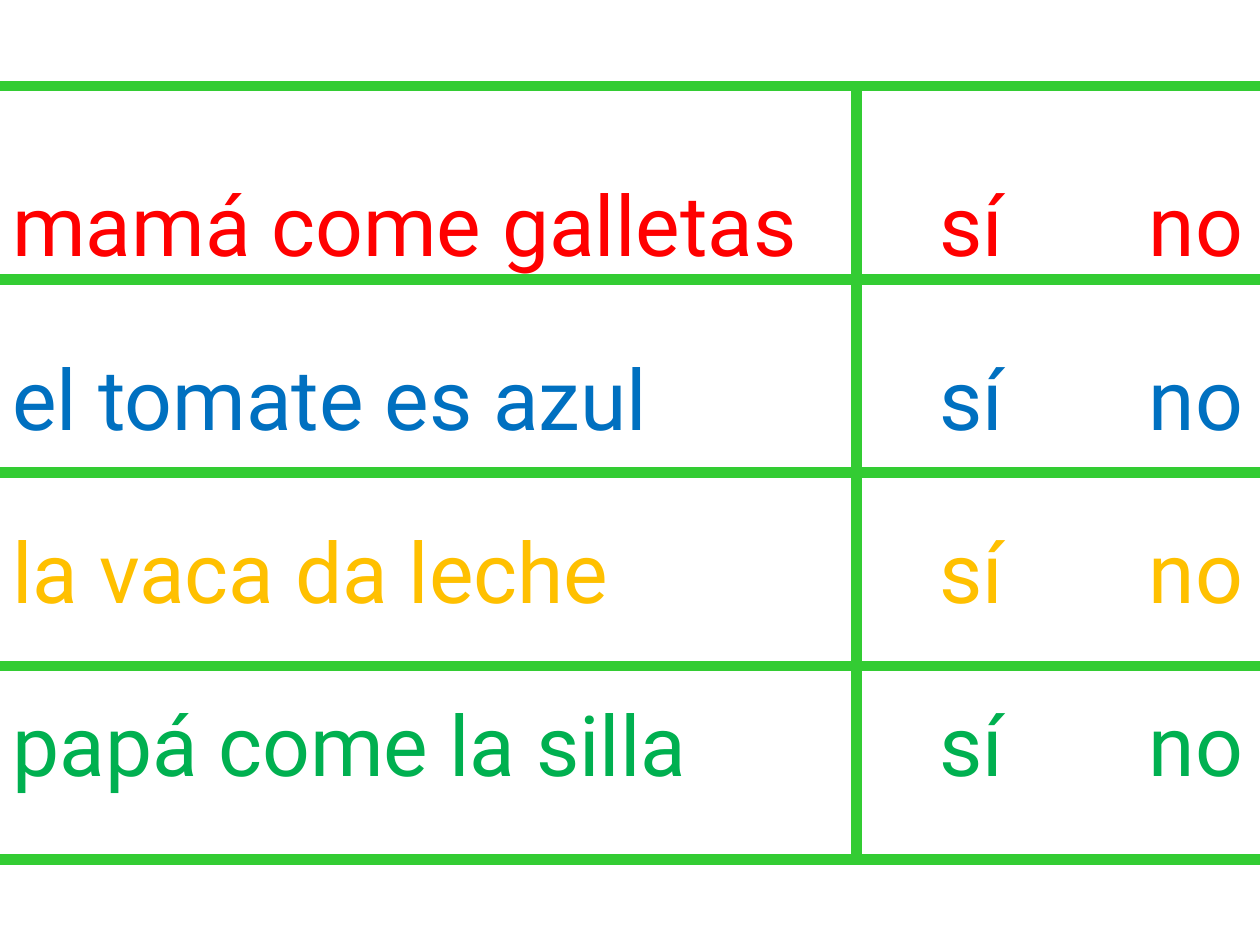
"""Build a reading exercise: four coloured sentences to answer with sí or no."""
from typing import NamedTuple

from lxml.etree import SubElement
from pptx import Presentation
from pptx.dml.color import RGBColor
from pptx.enum.shapes import MSO_CONNECTOR as Connector
from pptx.enum.text import MSO_AUTO_SIZE as AutoSize
from pptx.oxml.ns import qn
from pptx.util import Cm, Length, Pt

RED = RGBColor(0xFF, 0x00, 0x00)
BLUE = RGBColor(0x00, 0x70, 0xC0)
AMBER = RGBColor(0xFF, 0xC0, 0x00)
GREEN = RGBColor(0x00, 0xB0, 0x50)
RULE_GREEN = RGBColor(0x33, 0xCC, 0x33)

PAGE_WIDTH, PAGE_HEIGHT = Cm(25.4), Cm(19.05)
GRID_TOP, ROW_HEIGHT = Cm(1.73), Cm(3.9)
ANSWERS_LEFT = Cm(17.27)
ANSWER_TABS = (Cm(18.69), Cm(22.91))


class Sentence(NamedTuple):
    text: str
    color: RGBColor


SENTENCES = (
    Sentence("mamá come galletas\tsí\tno", RED),
    Sentence("el tomate es azul\tsí\tno", BLUE),
    Sentence("la vaca da leche\tsí\tno", AMBER),
    Sentence("papá come la silla\tsí \tno", GREEN),
)


def write_paragraph(para, text: str, *, color: RGBColor, size: Length = Pt(48),
                    font: str = "Roboto", before: Length = Pt(30),
                    tabs: tuple[Length, ...] = ANSWER_TABS) -> None:
    """Write one tabbed paragraph with the given format."""
    tab_list = SubElement(para._p.get_or_add_pPr(), qn("a:tabLst"))
    for position in tabs:
        SubElement(tab_list, qn("a:tab"), pos=str(int(position)), algn="l")
    para.line_spacing = 1.2
    para.space_before = before
    span = para.add_run()
    span.text = text
    span.font.name = font
    span.font.size = size
    span.font.color.rgb = color


def draw_rule(page, left: Length, top: Length, right: Length, bottom: Length) -> None:
    """Draw one straight grid line."""
    rule = page.shapes.add_connector(Connector.STRAIGHT, left, top, right, bottom)
    rule.line.color.rgb = RULE_GREEN
    rule.line.width = Pt(6)
    SubElement(rule._element.spPr, qn("a:effectLst"))


def draw_sentences(page) -> None:
    """Place all sentences in one text box."""
    box = page.shapes.add_textbox(Cm(0), Cm(2.95), Cm(26.06), Cm(13.18))
    frame = box.text_frame
    frame.word_wrap = True
    frame.auto_size = AutoSize.SHAPE_TO_FIT_TEXT
    for index, sentence in enumerate(SENTENCES):
        para = frame.add_paragraph() if index else frame.paragraphs[0]
        write_paragraph(para, sentence.text, color=sentence.color,
                        before=Pt(30 if index else 0))


def draw_grid(page) -> None:
    """Draw the row lines and the line before the answers."""
    for row in range(len(SENTENCES) + 1):
        top = GRID_TOP + row * ROW_HEIGHT
        draw_rule(page, Cm(0), top, PAGE_WIDTH, top)
    bottom = GRID_TOP + len(SENTENCES) * ROW_HEIGHT
    draw_rule(page, ANSWERS_LEFT, GRID_TOP, ANSWERS_LEFT, bottom)


def main() -> None:
    """Build and save the deck."""
    deck = Presentation()
    deck.slide_width, deck.slide_height = PAGE_WIDTH, PAGE_HEIGHT
    page = deck.slides.add_slide(deck.slide_layouts[6])
    draw_sentences(page)
    draw_grid(page)
    deck.save("out.pptx")


if __name__ == "__main__":
    main()
